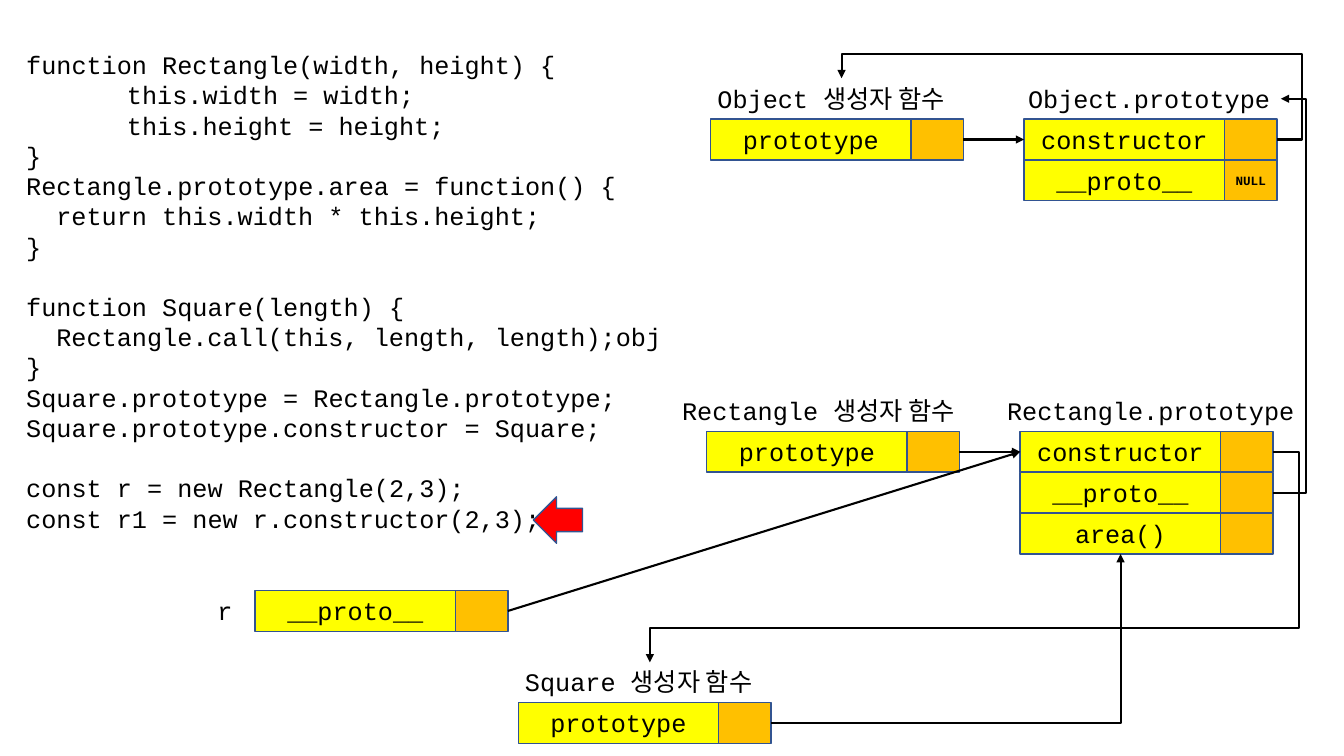
from lxml.etree import SubElement
from pptx import Presentation
from pptx.dml.color import RGBColor
from pptx.enum.shapes import MSO_CONNECTOR, MSO_SHAPE
from pptx.enum.text import MSO_ANCHOR, PP_ALIGN
from pptx.oxml.ns import qn
from pptx.util import Cm, Pt

COLORS = {"ink": "000000", "edge": "325491", "name": "FFFF00",
          "value": "FFC000", "mark": "FF0000"}
CODE = {"name": "Courier New", "size": Pt(18), "bold": False}
SMALL = CODE | {"size": Pt(9), "bold": True}
PITCH = Pt(21.6)
NAME_W, VALUE_W, ROW_H = 5.05, 1.32, 1.03
MAKER = "생성자 함수"
LINES = [
    (0, 0, "function Rectangle(width, height) {"),
    (2.54, 0, "this.width = width;"),
    (2.54, 0, "this.height = height;"),
    (0, 0, "}"),
    (0, 0, "Rectangle.prototype.area = function() {"),
    (0.76, 0, "return this.width * this.height;"),
    (0, 0, "}"),
    (0, 1, "function Square(length) {"),
    (0.76, 0, "Rectangle.call(this, length, length);"),
    (0, 0, "}"),
    (0, 0, "Square.prototype = Rectangle.prototype;"),
    (0, 0, "Square.prototype.constructor = Square;"),
    (0, 1, "const r = new Rectangle(2,3);"),
    (0, 0, "const r1 = new r.constructor(2,3);"),
]


def color(key):
    return RGBColor.from_string(COLORS[key])


def write(para, text, style):
    run = para.add_run()
    run.text = text
    for key, value in style.items():
        setattr(run.font, key, value)
    run.font.color.rgb = color("ink")


def block(slide, box, lines):
    frame = slide.shapes.add_textbox(*map(Cm, box)).text_frame
    frame.word_wrap = False
    for i, (indent, gap, text) in enumerate(lines):
        para = frame.add_paragraph() if i else frame.paragraphs[0]
        para.line_spacing = PITCH
        para.space_before = PITCH * gap
        para._p.get_or_add_pPr().set("marL", str(Cm(indent)))
        write(para, text, CODE)


def shape(slide, kind, box, fill, text="", style=CODE):
    item = slide.shapes.add_shape(kind, *map(Cm, box))
    item.shadow.inherit = False
    item.fill.solid()
    item.fill.fore_color.rgb = color(fill)
    item.line.color.rgb = color("edge")
    item.line.width = Pt(1)
    if text:
        frame = item.text_frame
        frame.vertical_anchor = MSO_ANCHOR.MIDDLE
        frame.paragraphs[0].alignment = PP_ALIGN.CENTER
        write(frame.paragraphs[0], text, style)


def node(slide, x, y, rows, title, shift, width):
    dx, dy = shift
    block(slide, (x + dx, y + dy, width, ROW_H), [(0, 0, title)])
    ports = []
    for i, (name, value) in enumerate(rows):
        top = y + i * ROW_H
        shape(slide, MSO_SHAPE.RECTANGLE, (x, top, NAME_W, ROW_H), "name", name)
        shape(slide, MSO_SHAPE.RECTANGLE, (x + NAME_W, top, VALUE_W, ROW_H),
              "value", value, SMALL)
        mid = top + ROW_H / 2
        ports.append(((x, mid), (x + NAME_W + VALUE_W, mid)))
    return ports


def wire(slide, start, end, bend=None, turns=()):
    kind = MSO_CONNECTOR.ELBOW if bend else MSO_CONNECTOR.STRAIGHT
    line = slide.shapes.add_connector(kind, *map(Cm, start + end))
    line.line.color.rgb = color("ink")
    line.line.width = Pt(1.5)
    props = line._element.spPr
    if bend:
        geom = props.find(qn("a:prstGeom"))
        geom.set("prst", f"bentConnector{bend}")
        guides = geom.get_or_add_avLst()
        for i, turn in enumerate(turns):
            ratio = (turn - start[i]) / (end[i] - start[i])
            SubElement(guides, qn("a:gd"), name=f"adj{i + 1}",
                       fmla=f"val {round(ratio * 100000)}")
    SubElement(line.line._get_or_add_ln(), qn("a:tailEnd"), type="triangle")
    SubElement(props, qn("a:effectLst"))


def source(slide, x, y):
    block(slide, (x, y, 15.44, 12.57), LINES)
    block(slide, (x + 14.86, y + 6.86, 1.65, ROW_H), [(0, 0, "obj")])
    shape(slide, MSO_SHAPE.LEFT_ARROW, (x + 13.03, y + 11.4, 1.24, 1.17), "mark")


def graph(slide, x, y):
    proto, link = [("prototype", "")], ("__proto__", "")
    base = node(slide, x, y, proto, f"Object {MAKER}", (-0.08, -ROW_H), 6.78)
    root = node(slide, x + 7.9, y, [("constructor", ""), ("__proto__", "NULL")],
                "Object.prototype", (-0.15, -ROW_H), 6.63)
    rect = node(slide, x - 0.1, y + 7.87, proto, f"Rectangle {MAKER}",
                (-0.87, -ROW_H), 7.92)
    kin = node(slide, x + 7.8, y + 7.87,
               [("constructor", ""), link, ("area()", "")],
               "Rectangle.prototype", (-0.58, -ROW_H), 7.8)
    square = node(slide, x - 4.85, y + 14.7, proto, f"Square {MAKER}",
                  (-0.08, -ROW_H), 6.78)
    item = node(slide, x - 11.48, y + 11.88, [link], "r", (-1.2, 0), 0.89)

    for tail, head in [(base, root), (rect, kin), (item, kin)]:
        wire(slide, tail[0][1], head[0][0])
    wire(slide, root[0][1], (x + 3.3, y - 1.03), 4, (x + 14.91, y - 1.65))
    wire(slide, kin[0][1], (x - 1.53, y + 13.69), 4, (x + 14.83, y + 12.82))
    wire(slide, kin[1][1], (x + 14.37, y - 0.51), 3, (x + 15.01,))
    wire(slide, square[0][1], (x + 10.33, y + 10.96), 2)


deck = Presentation()
deck.slide_width, deck.slide_height = Cm(33.87), Cm(19.05)
page = deck.slides.add_slide(deck.slide_layouts[6])
source(page, 0.41, 1.12)
graph(page, 17.91, 3)
deck.save("out.pptx")
